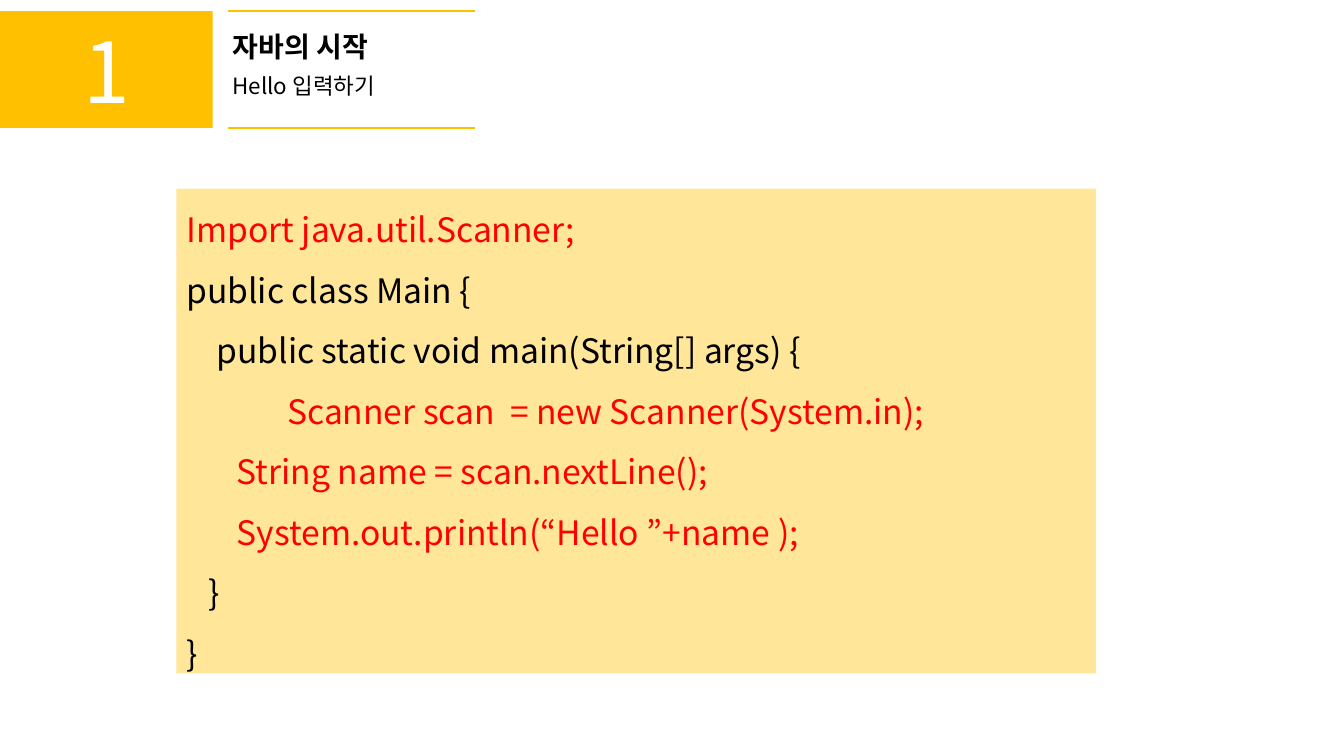
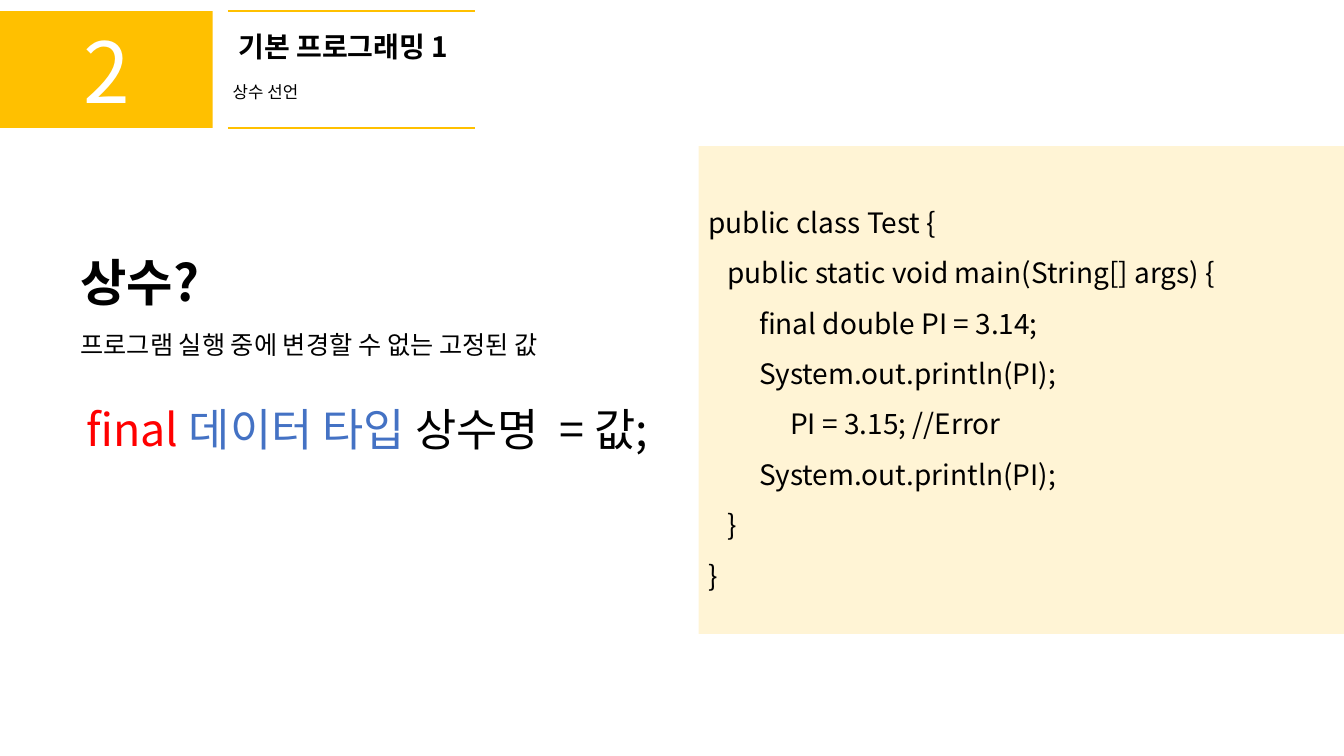
from lxml import etree
from pptx import Presentation
from pptx.dml.color import RGBColor
from pptx.enum.shapes import MSO_CONNECTOR, MSO_SHAPE
from pptx.enum.text import MSO_ANCHOR, PP_ALIGN
from pptx.oxml.ns import qn
from pptx.util import Pt

PX = 9144  # EMU in one px (100 px to the inch)
FONT = "Noto Sans CJK KR"
COLORS = {
    "accent": "FFC000",
    "panel": "FFE699",
    "white": "FFFFFF",
    "black": "000000",
    "red": "FF0000",
    "blue": "4472C4",
}
RECTANGLE = MSO_SHAPE.RECTANGLE
STRAIGHT = MSO_CONNECTOR.STRAIGHT
MIDDLE = MSO_ANCHOR.MIDDLE
LEFT, CENTER = PP_ALIGN.LEFT, PP_ALIGN.CENTER

HEADER_BOX = (0, 11, 471, 116)


def rgb(name):
    return RGBColor.from_string(COLORS[name])


def emu(box):
    return [value * PX for value in box]


# Text
def add_run(paragraph, text, size, color="black", bold=False):
    run = paragraph.add_run()
    run.text = text
    font = run.font
    font.name, font.size, font.bold = FONT, Pt(size), bold
    font.color.rgb = rgb(color)
    east_asian = etree.SubElement(run._r.get_or_add_rPr(), qn("a:ea"))
    east_asian.set("typeface", FONT)


def fill_text(frame, paragraphs, size, align=LEFT, line_spacing=None):
    """Each paragraph is a list of (text, color) runs."""
    frame.word_wrap = True
    for index, runs in enumerate(paragraphs):
        paragraph = frame.add_paragraph() if index else frame.paragraphs[0]
        paragraph.alignment = align
        paragraph.line_spacing = line_spacing
        for text, color in runs:
            add_run(paragraph, text, size, color)


def add_text_box(slide, box):
    frame = slide.shapes.add_textbox(*emu(box)).text_frame
    frame.word_wrap = True
    return frame


# Shapes
def add_block(slide, box, color, alpha=None):
    shape = slide.shapes.add_shape(RECTANGLE, *emu(box))
    shape.shadow.inherit = False
    shape.fill.solid()
    shape.fill.fore_color.rgb = rgb(color)
    shape.line.fill.background()
    if alpha is not None:
        color_element = shape._element.spPr.find(qn("a:solidFill"))[0]
        etree.SubElement(color_element, qn("a:alpha")).set("val", str(alpha * 1000))
    shape.text_frame.vertical_anchor = MIDDLE
    return shape


def add_rule(slide, left, right, y):
    line = slide.shapes.add_connector(STRAIGHT, *emu((left, y, right, y)))
    line.line.color.rgb = rgb("accent")
    line.line.width = Pt(1.75)
    etree.SubElement(line._element.spPr, qn("a:effectLst"))


# Header: numbered block, title and subtitle between two rules
def add_header(slide, box, number, title, subtitle, title_width, title_align,
               subtitle_top, subtitle_size):
    left, top, width, height = box
    block = add_block(slide, (left, top, 211, height), "accent")
    fill_text(block.text_frame, [[(number, "white")]], 60, CENTER)

    text_left = left + 221
    title_frame = add_text_box(slide, (text_left, top + 13, title_width, 44))
    title_frame.paragraphs[0].alignment = title_align
    add_run(title_frame.paragraphs[0], title, 20, bold=True)
    subtitle_frame = add_text_box(slide, (text_left, top + subtitle_top, 244, 37))
    add_run(subtitle_frame.paragraphs[0], subtitle, subtitle_size)

    for y in (top, top + height):
        add_rule(slide, left + 226, left + width, y)


# Code panel
def add_code(slide, box, lines, size, alpha=None):
    panel = add_block(slide, box, "panel", alpha)
    fill_text(panel.text_frame, lines, size, line_spacing=1.5)


# Definition: term and meaning, with the declaration form below
def add_definition(slide, box, term, meaning, declaration):
    left, top, width, _ = box
    frame = add_text_box(slide, (left, top, width, 119))
    add_run(frame.paragraphs[0], term, 36, bold=True)
    paragraph = frame.add_paragraph()
    paragraph.space_before = Pt(13)
    add_run(paragraph, meaning, 18)

    form = add_text_box(slide, (left + 6, top + 150, width - 28, 64))
    fill_text(form, [declaration], 32)


def build_input_slide(slide):
    add_header(slide, HEADER_BOX, "1", "자바의 시작", "Hello 입력하기",
               197, LEFT, 56, 16)
    add_code(slide, (175, 187, 912, 481), [
        [("Import java.util.Scanner;", "red")],
        [("public class Main {", "black")],
        [("    public static void main(String[] args) {", "black")],
        [("        \t", "black"),
         ("Scanner scan  = new Scanner(System.in);", "red")],
        [("\tString name = scan.nextLine();", "red")],
        [("\tSystem.out.println(“Hello ”+name );", "red")],
        [("   }", "black")],
        [("}", "black")],
    ], 24)


def build_constant_slide(slide):
    add_header(slide, HEADER_BOX, "2", "기본 프로그래밍 1", "상수 선언",
               239, CENTER, 65, 12)
    add_definition(slide, (70, 244, 645, 214), "상수?",
                   "프로그램 실행 중에 변경할 수 없는 고정된 값",
                   [("final ", "red"), ("데이터 타입 ", "blue"),
                    ("상수명  = 값;", "black")])
    code = (
        "public class Test {",
        "   public static void main(String[] args) {",
        "\tfinal double PI = 3.14;",
        "\tSystem.out.println(PI);",
        "             PI = 3.15; //Error",
        "\tSystem.out.println(PI);",
        "   }",
        "}",
    )
    add_code(slide, (693, 145, 640, 484), [[(line, "black")] for line in code],
             20, alpha=41)


def main():
    presentation = Presentation()
    presentation.slide_width, presentation.slide_height = emu((1333, 750))
    blank = presentation.slide_layouts[6]
    for build in (build_input_slide, build_constant_slide):
        build(presentation.slides.add_slide(blank))
    presentation.save("out.pptx")


if __name__ == "__main__":
    main()
